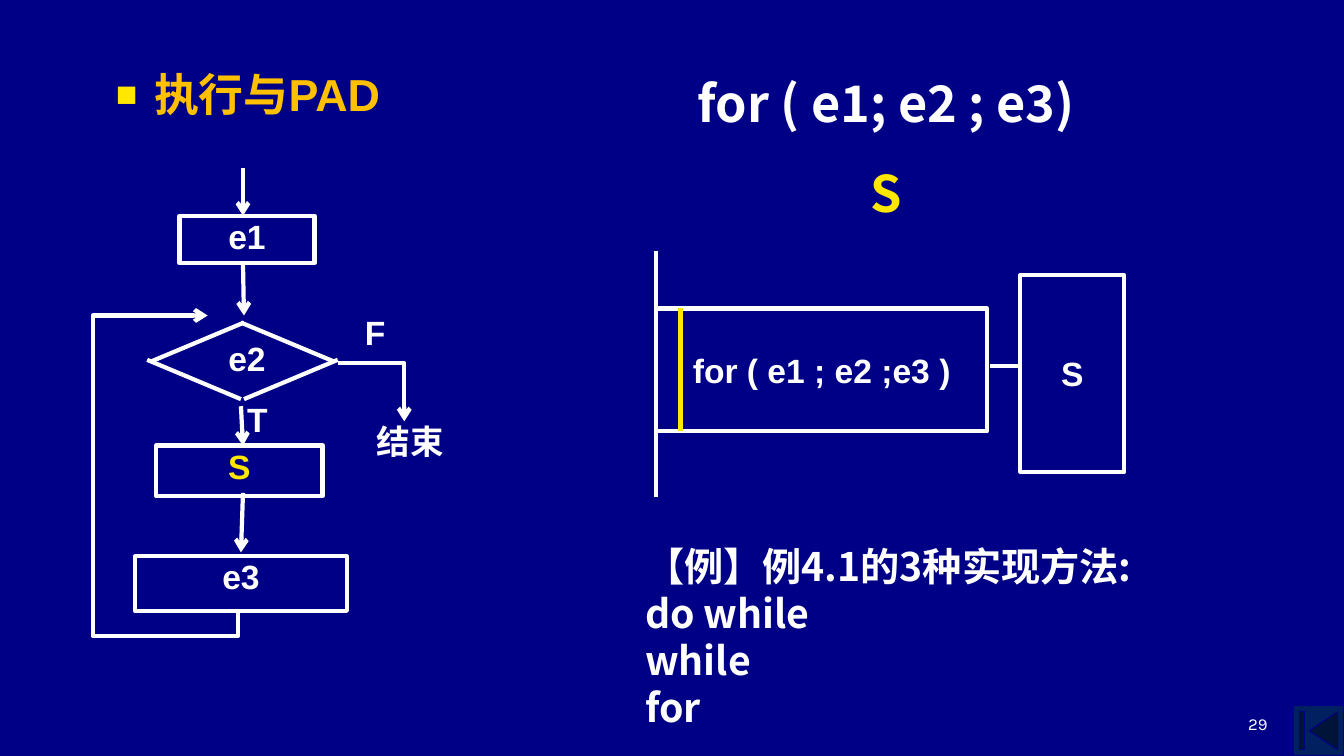
from lxml import etree
from pptx import Presentation
from pptx.dml.color import RGBColor
from pptx.enum.shapes import MSO_CONNECTOR as Connector, MSO_SHAPE as Shape
from pptx.enum.text import MSO_ANCHOR as Anchor, PP_ALIGN as Align
from pptx.oxml.ns import qn
from pptx.util import Inches, Pt

NAVY = RGBColor(0x00, 0x00, 0x86)
BUTTON = RGBColor(0x00, 0x20, 0x60)
WHITE = RGBColor(0xFF, 0xFF, 0xFF)
YELLOW = RGBColor(0xFF, 0xE7, 0x01)
GOLD = RGBColor(0xFF, 0xC0, 0x00)
LATIN, CHINESE, NUMBER = "Arial", "Noto Sans CJK SC", "Karla"
LABEL = dict(name=LATIN, size=Pt(24), bold=True)


def set_all(target, values):
    for key, value in values.items():
        setattr(target, key, value)


def write(shape, lines, formats, color=WHITE, align=Align.CENTER,
          anchor=Anchor.TOP, inset=(0, 0), spacing=None):
    """Fill a shape with lines; a line is a string or a (string, color) pair."""
    frame = shape.text_frame
    horizontal, vertical = map(Inches, inset)
    set_all(frame, dict(word_wrap=True, vertical_anchor=anchor,
                        margin_left=horizontal, margin_right=horizontal,
                        margin_top=vertical, margin_bottom=vertical))
    for index, line in enumerate(lines):
        text, ink = line if isinstance(line, tuple) else (line, color)
        paragraph = frame.paragraphs[0] if index == 0 else frame.add_paragraph()
        paragraph.alignment = align
        set_all(paragraph, spacing or {})
        if index == 0:
            paragraph.space_before = Pt(0)
        run = paragraph.add_run()
        run.text = text
        set_all(run.font, formats)
        run.font.color.rgb = ink
        etree.SubElement(run.font._element, qn("a:ea"), typeface=CHINESE)


def add_text(slide, box, lines, formats, **options):
    shape = slide.shapes.add_textbox(*map(Inches, box))
    write(shape, lines, formats, **options)
    return shape


def outline(shape, color=WHITE, width=3, arrow=False):
    shape.line.color.rgb = color
    shape.line.width = Pt(width)
    if arrow:
        etree.SubElement(shape.line._get_or_add_ln(), qn("a:tailEnd"), type="arrow")


def add_box(slide, box, text, color=WHITE, **options):
    shape = slide.shapes.add_shape(Shape.RECTANGLE, *map(Inches, box))
    shape.shadow.inherit = False
    shape.fill.background()
    outline(shape)
    write(shape, [text], LABEL, color, **options)


def add_line(slide, start, end, color=WHITE, arrow=False):
    line = slide.shapes.add_connector(Connector.STRAIGHT, *map(Inches, start + end))
    outline(line, color, arrow=arrow)
    etree.SubElement(line._element.spPr, qn("a:effectLst"))


def add_route(slide, points):
    """Draw an open right-angled path that ends in an arrow."""
    corners = [(Inches(x), Inches(y)) for x, y in points]
    builder = slide.shapes.build_freeform(*corners[0])
    builder.add_line_segments(corners[1:], close=False)
    shape = builder.convert_to_shape()
    shape.shadow.inherit = False
    shape.fill.background()
    outline(shape, arrow=True)


def draw_title(slide, left, top):
    shape = slide.shapes.add_textbox(*map(Inches, (left, top, 3.94, 0.63)))
    properties = shape.text_frame.paragraphs[0]._p.get_or_add_pPr()
    properties.set("marL", str(Inches(0.38)))
    properties.set("indent", str(-Inches(0.38)))
    color = etree.SubElement(properties, qn("a:buClr"))
    etree.SubElement(color, qn("a:srgbClr"), val=str(YELLOW))
    etree.SubElement(properties, qn("a:buSzPct"), val="80000")
    etree.SubElement(properties, qn("a:buFont"), typeface=LATIN)
    etree.SubElement(properties, qn("a:buChar"), char="■")
    write(shape, ["执行与PAD"], dict(LABEL, size=Pt(32)), GOLD, Align.LEFT,
          inset=(0.1, 0.05), spacing=dict(line_spacing=0.9))


def draw_flowchart(slide, left, top):
    def at(x, y):
        return left + x, top + y

    # Steps
    for x, y, width, height, text, color in (
            (0.86, 0.47, 1.34, 0.47, "e1", WHITE),
            (0.63, 2.75, 1.65, 0.5, "S", YELLOW),
            (0.42, 3.85, 2.1, 0.54, "e3", WHITE)):
        add_box(slide, (*at(x, y), width, height), text, color)

    # Decision diamond: four strokes that cross slightly at the corners
    for tip_y, side_y in ((1.53, 1.92), (2.29, 1.9)):
        for tip_x, side_x in ((1.5, 0.57), (1.47, 2.4)):
            shift = 0 if tip_y < side_y else -0.03 if side_x < 1 else 0.03
            add_line(slide, at(tip_x + shift, tip_y), at(side_x + shift, side_y))

    # Arrows between the steps
    for start, end in (((1.49, 0), (1.49, 0.47)), ((1.49, 0.94), (1.5, 1.46)),
                       ((1.47, 2.36), (1.49, 2.75)), ((1.49, 3.22), (1.47, 3.81))):
        add_line(slide, at(*start), at(*end), arrow=True)

    # Loop back and exit
    add_route(slide, [at(1.44, 4.39), at(1.44, 4.64), at(0, 4.64),
                      at(0, 1.46), at(1.14, 1.46)])
    add_route(slide, [at(2.43, 1.93), at(3.09, 1.93), at(3.09, 2.51)])

    # Labels
    for x, y, width, text, align in (
            (1.08, 1.68, 0.9, "e2", Align.CENTER), (2.7, 1.42, 0.45, "F", Align.LEFT),
            (1.53, 2.29, 0.45, "T", Align.LEFT), (2.76, 2.51, 0.78, "结束", Align.CENTER)):
        add_text(slide, (*at(x, y), width, 0.45), [text], LABEL, align=align)


def draw_pad(slide, left, top):
    loop_top, loop_bottom = top + 0.57, top + 1.79
    add_box(slide, (left, loop_top, 3.28, 1.22), "for ( e1 ; e2 ;e3 )",
            anchor=Anchor.MIDDLE)
    add_line(slide, (left + 0.24, loop_top), (left + 0.24, loop_bottom), YELLOW)
    add_line(slide, (left, top), (left, top + 2.44))
    add_box(slide, (left + 3.61, top + 0.24, 1.03, 1.95), "S", anchor=Anchor.MIDDLE)
    add_line(slide, (left + 3.31, top + 1.14), (left + 3.61, top + 1.14))


def draw_statement(slide, left, top):
    add_text(slide, (left, top, 6.58, 1.74), ["for ( e1; e2 ; e3)", ("S", YELLOW)],
             dict(name=CHINESE, size=Pt(36), bold=True), inset=(0.1, 0.05),
             spacing=dict(line_spacing=1.15, space_before=Pt(7.2), space_after=Pt(7.2)))


def draw_example(slide, left, top):
    add_text(slide, (left, top, 5.32, 1.97),
             ["【例】例4.1的3种实现方法:", "do while", "while", "for"],
             dict(name=CHINESE, size=Pt(28), bold=True), align=Align.LEFT,
             inset=(0.1, 0.05))


def draw_footer(slide, left, top):
    button = slide.shapes.add_shape(Shape.ACTION_BUTTON_BEGINNING, Inches(left + 3.27),
                                    Inches(top + 0.17), Inches(0.5), Inches(0.5))
    button.shadow.inherit = False
    button.fill.solid()
    button.fill.fore_color.rgb = BUTTON
    outline(button, NAVY, 0.75)
    add_text(slide, (left, top, 3.11, 0.5), ["29"], dict(name=NUMBER, size=Pt(12)),
             align=Align.RIGHT, anchor=Anchor.BOTTOM, inset=(0.1, 0.05))


def main():
    presentation = Presentation()
    presentation.slide_width = Inches(13.33)
    presentation.slide_height = Inches(7.5)
    slide = presentation.slides.add_slide(presentation.slide_layouts[6])
    slide.background.fill.solid()
    slide.background.fill.fore_color.rgb = NAVY
    draw_footer(slide, 9.56, 6.83)
    draw_title(slide, 1.05, 0.67)
    draw_pad(slide, 6.51, 2.49)
    draw_flowchart(slide, 0.92, 1.67)
    draw_statement(slide, 5.5, 0.58)
    draw_example(slide, 6.3, 5.33)
    presentation.save("out.pptx")


if __name__ == "__main__":
    main()
